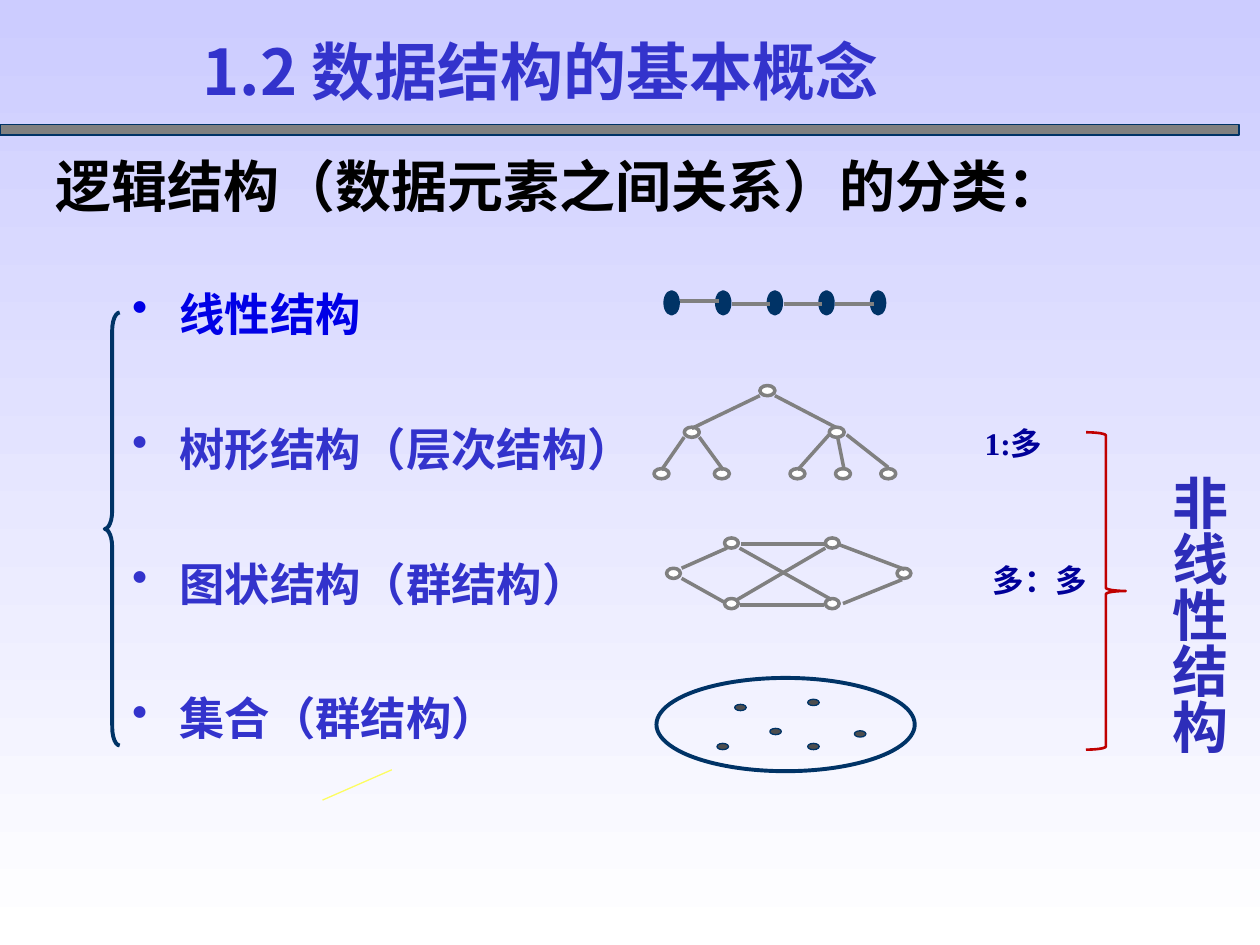
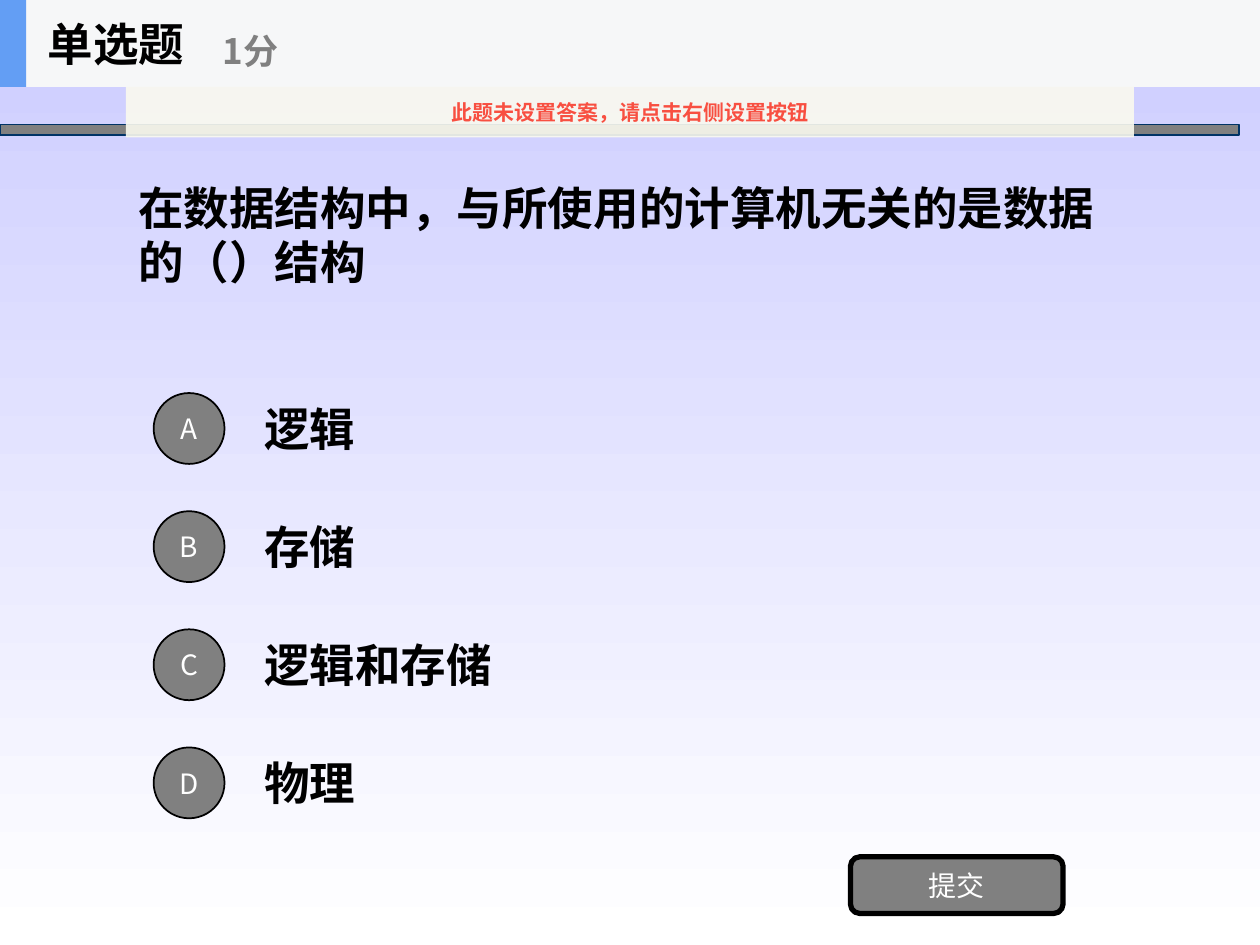
from lxml import etree
from pptx import Presentation
from pptx.dml.color import RGBColor
from pptx.enum import shapes, text
from pptx.oxml import ns
from pptx.util import Pt

# Shared look
SANS, SERIF = "Noto Sans CJK SC", "Times New Roman"
BLACK = RGBColor(0, 0, 0)
WHITE = RGBColor(255, 255, 255)
GREY = RGBColor(0x80, 0x80, 0x80)
DARK_GREY = RGBColor(0x4D, 0x4D, 0x4D)
LAVENDER = RGBColor(0xCC, 0xCC, 0xFF)
NAVY = RGBColor(0x00, 0x33, 0x66)
INDIGO = RGBColor(0x33, 0x33, 0xCC)
DEEP_INDIGO = RGBColor(0x2D, 0x2D, 0xB9)
BLUE = RGBColor(0x00, 0x00, 0xE6)
LABEL_BLUE = RGBColor(0x00, 0x00, 0x99)
RED = RGBColor(0xC0, 0, 0)
YELLOW = RGBColor(0xFD, 0xFD, 0x60)
HEADER_GREY = RGBColor(0xF6, 0xF7, 0xF8)
HEADER_BLUE = RGBColor(0x63, 0x9E, 0xF4)
CREAM = RGBColor(0xFB, 0xFA, 0xEF)
WARNING = RGBColor(0xF8, 0x4F, 0x41)

KIND = shapes.MSO_SHAPE
LEFT, CENTER = text.PP_ALIGN.LEFT, text.PP_ALIGN.CENTER
TOP, MIDDLE = text.MSO_ANCHOR.TOP, text.MSO_ANCHOR.MIDDLE


def points(values):
    return [Pt(value) for value in values]


def add_child(parent, tag, **attributes):
    return etree.SubElement(parent, ns.qn(tag), attributes)


def format_text(paragraph, content, size=26, color=BLACK, bold=True,
                font=SANS, align=LEFT):
    paragraph.alignment = align
    run = paragraph.add_run()
    run.text = content
    run.font.name = font
    run.font.size = Pt(size)
    run.font.bold = bold
    run.font.color.rgb = color
    add_child(run.font._element, "a:ea", typeface=SANS)


def add_text(slide, box, content, anchor=TOP, wrap=True, **style):
    shape = slide.shapes.add_textbox(*points(box))
    frame = shape.text_frame
    frame.word_wrap = wrap
    frame.vertical_anchor = anchor
    format_text(frame.paragraphs[0], content, **style)
    return shape


def add_shape(slide, kind, box, fill=None, line=None, width=0.75,
              content=None, **style):
    shape = slide.shapes.add_shape(kind, *points(box))
    shape.shadow.inherit = False
    if fill is None:
        shape.fill.background()
    else:
        shape.fill.solid()
        shape.fill.fore_color.rgb = fill
    if line is None:
        shape.line.fill.background()
    else:
        shape.line.color.rgb = line
        shape.line.width = Pt(width)
    if content:
        shape.text_frame.vertical_anchor = MIDDLE
        format_text(shape.text_frame.paragraphs[0], content,
                    align=CENTER, **style)
    return shape


def add_line(slide, ends, color=GREY, width=2):
    connector = slide.shapes.add_connector(
        shapes.MSO_CONNECTOR.STRAIGHT, *points(ends))
    connector.line.color.rgb = color
    connector.line.width = Pt(width)
    add_child(connector._element.spPr, "a:effectLst")


def add_brace(slide, kind, box, curve, color, width):
    brace = add_shape(slide, kind, box, line=color, width=width)
    brace.adjustments[0] = curve
    brace.adjustments[1] = 0.5


def add_network(slide, nodes, node_size, edges):
    for node in nodes:
        add_shape(slide, KIND.OVAL, (*node, *node_size), WHITE, GREY, 2)
    for edge in edges:
        add_line(slide, edge)


def add_bullets(slide, box, items):
    frame = slide.shapes.add_textbox(*points(box)).text_frame
    frame.word_wrap = True
    for index, (content, color) in enumerate(items):
        paragraph = frame.add_paragraph() if index else frame.paragraphs[0]
        properties = paragraph._p.get_or_add_pPr()
        properties.set("marL", str(Pt(27)))
        properties.set("indent", str(-Pt(27)))
        bullet_color = add_child(properties, "a:buClr")
        add_child(bullet_color, "a:srgbClr", val=str(color))
        add_child(properties, "a:buChar", char="•")
        if index:
            paragraph.space_before = Pt(46)
        format_text(paragraph, content, size=25.9, color=color, font=SERIF)


def new_slide(presentation):
    slide = presentation.slides.add_slide(presentation.slide_layouts[6])
    fill = slide.background.fill
    fill.gradient()
    fill.gradient_angle = 270
    for stop, color in zip(fill.gradient_stops, (LAVENDER, WHITE)):
        stop.color.rgb = color
    add_shape(slide, KIND.RECTANGLE, (0, 71.3, 708, 5.8), GREY, NAVY)
    return slide


# Diagrams of the four structures
def draw_chain(slide):
    pitch = 29.5
    for index in range(5):
        add_shape(slide, KIND.OVAL, (380.2 + pitch * index, 167, 7.2, 12.2),
                  NAVY, NAVY, 2.25)
    for index in range(4):
        start = 388.8 + pitch * index
        height = 173.5 if index else 172.1
        add_line(slide, (start, height, start + 22, height), width=2.25)


def draw_tree(slide):
    leaves = [(left, 267.8) for left in (373.7, 408.2, 451.4, 477.4, 503.3)]
    nodes = [(434.2, 220.3), (391, 244.1), (473.8, 244.1), *leaves]
    edges = [
        (434.2, 226.1, 395.3, 244.8), (442.8, 226.1, 477.4, 244.1),
        (391, 249.8, 378, 268.6), (399.6, 249.8, 413.3, 268.6),
        (473.8, 248.4, 455.8, 268.6), (478.8, 250.6, 482.4, 268.6),
        (483.8, 248.4, 507.6, 267.1),
    ]
    add_network(slide, nodes, (8.6, 5.8), edges)


def draw_graph(slide):
    nodes = [(left, top) for left in (414, 471.6) for top in (307.4, 342)]
    nodes += [(380.9, 324.7), (512.6, 324.7)]
    edges = [
        (389.5, 324.7, 415.4, 313.2), (389.5, 330.5, 414, 344.2),
        (423.4, 311, 471.6, 311), (422.6, 345.6, 470.9, 345.6),
        (478.8, 311, 517, 325.4), (481.7, 344.9, 515.5, 331.2),
        (422.6, 313.2, 475.2, 342.7), (471.6, 313.2, 421.2, 342.7),
    ]
    add_network(slide, nodes, (7.9, 5.8), edges)


def draw_set(slide):
    add_shape(slide, KIND.OVAL, (375.1, 387.4, 147.6, 53.3),
              line=NAVY, width=2.25)
    members = [(419.8, 402.5), (461.5, 399.6), (409.7, 424.8),
               (461.5, 424.8), (439.9, 416.2), (488.2, 417.6)]
    for member in members:
        add_shape(slide, KIND.OVAL, (*member, 6.6, 3.6), DARK_GREY, NAVY)


def build_classification(presentation):
    slide = new_slide(presentation)
    add_text(slide, (24.5, 82.8, 613.4, 46), "逻辑结构（数据元素之间关系）的分类：",
             size=32, font=SERIF)
    add_bullets(slide, (68.4, 159.8, 544.3, 278), [
        ("线性结构", BLUE),
        ("树形结构（层次结构）", INDIGO),
        ("图状结构（群结构）", INDIGO),
        ("集合（群结构）", INDIGO),
    ])
    for draw in (draw_chain, draw_tree, draw_graph, draw_set):
        draw(slide)
    for content, left, top in (("1:多", 534.2, 239), ("多：多", 549.4, 316.8)):
        add_text(slide, (left, top, 90, 28.8), content, size=18,
                 color=LABEL_BLUE, font=SERIF, align=CENTER)
    add_brace(slide, KIND.LEFT_BRACE, (59.8, 178.6, 8.6, 247.4),
              1.2, NAVY, 2.25)
    add_text(slide, (108.7, 15.1, 612, 90), "1.2 数据结构的基本概念",
             size=36, color=INDIGO)
    add_line(slide, (223.9, 439.9, 184.3, 457.2), YELLOW, 0.75)
    add_brace(slide, KIND.RIGHT_BRACE, (620.6, 247, 22.7, 181.4),
              0.08, RED, 1.5)
    # Vertical label beside the right brace
    label = add_text(slide, (655.2, 264.2, 52.6, 167.8), "非线性结构",
                     wrap=False, size=32, color=DEEP_INDIGO)
    frame = label.text_frame
    frame.margin_left = frame.margin_right = Pt(3.6)
    frame.margin_top = frame.margin_bottom = Pt(7.2)
    frame._txBody.bodyPr.set("vert", "eaVert")


def build_question(presentation):
    slide = new_slide(presentation)
    add_text(slide, (72, 49.7, 576, 168.5),
             "在数据结构中，与所使用的计算机无关的是数据的（）结构", anchor=MIDDLE)
    # Answer options
    button = {"size": 16, "color": WHITE, "bold": False}
    for index, answer in enumerate(("逻辑", "存储", "逻辑和存储", "物理")):
        top = 219.6 + 67.5 * index
        add_text(slide, (144, top, 504, 50.4), answer, anchor=MIDDLE,
                 wrap=False)
        circle = add_shape(slide, KIND.OVAL, (87.8, top + 5, 40.5, 40.5),
                           GREY, BLACK, 1, "ABCD"[index], **button)
        circle.text_frame.word_wrap = True
    add_shape(slide, KIND.ROUNDED_RECTANGLE, (486, 489.6, 121.5, 32.4),
              GREY, BLACK, 3, "提交", **button)
    # Header
    add_shape(slide, KIND.RECTANGLE, (0, 0, 720, 49.7), HEADER_GREY)
    add_shape(slide, KIND.RECTANGLE, (0, 0, 15, 49.7), HEADER_BLUE)
    add_text(slide, (20.2, 0, 149.8, 49.7), "单选题", anchor=MIDDLE, wrap=False)
    add_text(slide, (120.2, 8.6, 180, 40.3), "1分", anchor=MIDDLE,
             wrap=False, size=20, color=GREY)
    # Translucent notice
    notice = add_shape(slide, KIND.RECTANGLE, (72, 49.7, 576, 28.8), CREAM,
                       content="此题未设置答案，请点击右侧设置按钮",
                       size=12, color=WARNING)
    fill_color = notice._element.spPr.find(ns.qn("a:solidFill"))[0]
    add_child(fill_color, "a:alpha", val="90000")


def main():
    presentation = Presentation()
    presentation.slide_width = Pt(720)
    presentation.slide_height = Pt(540)
    build_classification(presentation)
    build_question(presentation)
    presentation.save("out.pptx")


if __name__ == "__main__":
    main()
